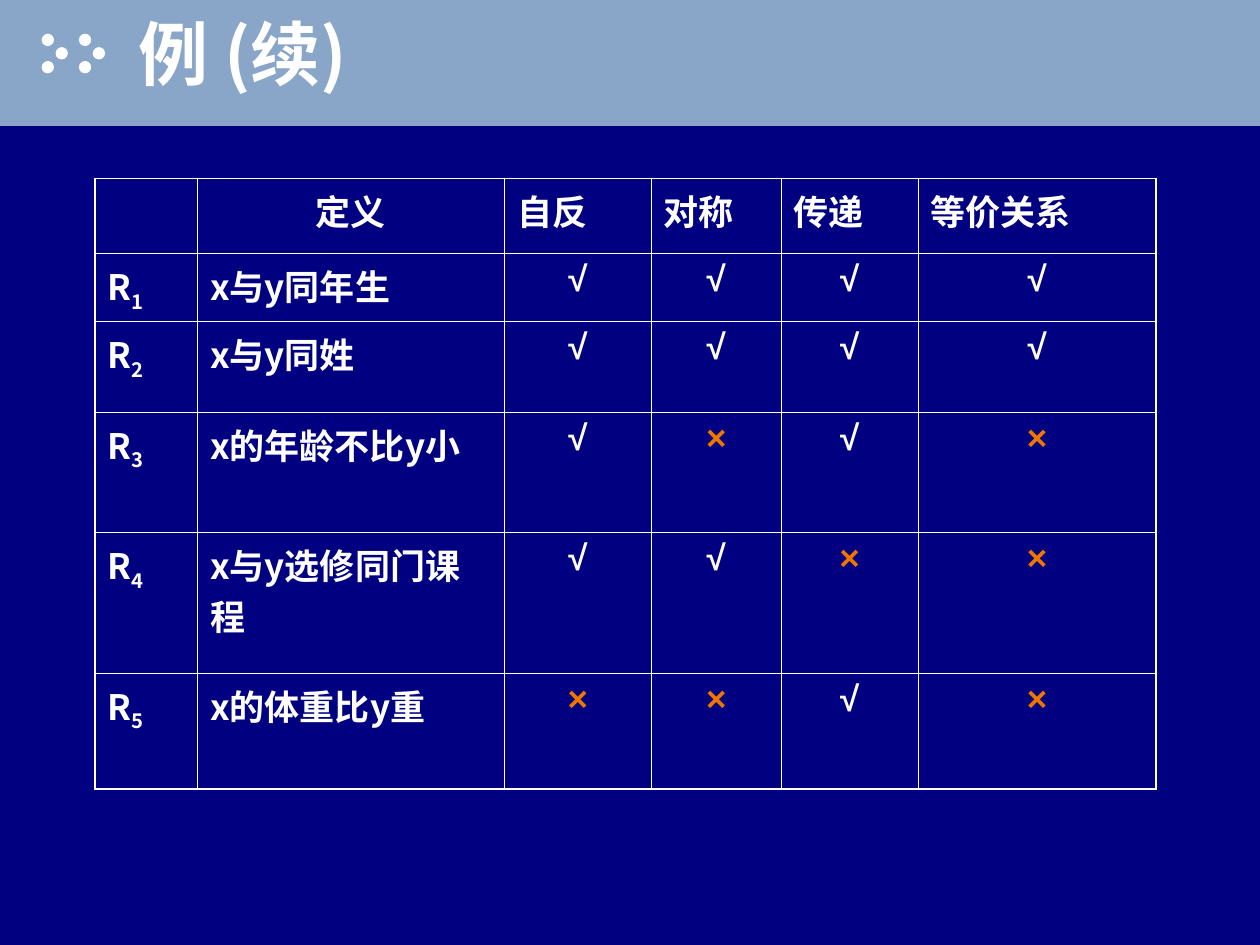
from lxml import etree
from pptx import Presentation
from pptx.dml.color import RGBColor
from pptx.enum.shapes import MSO_SHAPE
from pptx.enum.text import MSO_ANCHOR, PP_ALIGN
from pptx.oxml import parse_xml
from pptx.oxml.ns import nsdecls, qn
from pptx.util import Cm, Pt

RECTANGLE, OVAL = MSO_SHAPE.RECTANGLE, MSO_SHAPE.OVAL
LEFT, CENTER = PP_ALIGN.LEFT, PP_ALIGN.CENTER
MIDDLE = MSO_ANCHOR.MIDDLE

NAVY, BAND_BLUE, WHITE, ORANGE = "000080", "89A5C7", "FFFFFF", "F07600"
CJK_FONT, MARK_FONT = "Noto Sans CJK SC", "Arial"
INNER_LINE, OUTER_LINE = 0.45, 1.08

COLUMN_WIDTHS = [2.07, 6.19, 2.96, 2.62, 2.76, 4.8]
ROW_HEIGHTS = [1.51, 1.27, 1.83, 2.42, 2.84, 2.34]
HEADINGS = ["", "定义", "自反", "对称", "传递", "等价关系"]
RELATIONS = [
    ("x与y同年生", "√√√√"),
    ("x与y同姓", "√√√√"),
    ("x的年龄不比y小", "√×√×"),
    ("x与y选修同门课程", "√√××"),
    ("x的体重比y重", "××√×"),
]


def rgb(hex_color):
    return RGBColor.from_string(hex_color)


def add_run(paragraph, text, size=20, color=WHITE, font=CJK_FONT):
    run = paragraph.add_run()
    run.text = text
    run.font.size = Pt(size)
    run.font.bold = True
    run.font.color.rgb = rgb(color)
    run.font.name = font
    east_asian = etree.Element(qn("a:ea"), typeface=font)
    run.font._element.find(qn("a:latin")).addnext(east_asian)
    return run


def add_plain_shape(shapes, kind, left, top, width, height, color):
    shape = shapes.add_shape(kind, Cm(left), Cm(top), Cm(width), Cm(height))
    shape.shadow.inherit = False
    shape.fill.solid()
    shape.fill.fore_color.rgb = rgb(color)
    shape.line.fill.background()


def add_dots(slide, left, top):
    """Place two arrowhead-like triples of dots side by side."""
    dots = slide.shapes.add_group_shape().shapes
    for triple_left in (left, left + 0.75):
        for dx, dy in ((0, 0), (0.28, 0.27), (0, 0.55)):
            add_plain_shape(dots, OVAL, triple_left + dx, top + dy, 0.25, 0.25, WHITE)


def add_text_shadow(run):
    shadow = parse_xml(
        f'<a:effectLst {nsdecls("a")}><a:outerShdw dist="25400" dir="2700000">'
        '<a:srgbClr val="000000"/></a:outerShdw></a:effectLst>')
    run.font._element.find(qn("a:solidFill")).addnext(shadow)


def add_header(slide, left, top, width, height):
    add_plain_shape(slide.shapes, RECTANGLE, left, top, width, height, BAND_BLUE)
    add_dots(slide, left + 0.84, top + 0.68)

    title = slide.shapes.title
    slide.shapes._spTree.append(title._element)
    title.left, title.top = Cm(left + 2.54), Cm(top)
    title.width, title.height = Cm(width - 2.54), Cm(2.11)
    title.text_frame.vertical_anchor = MIDDLE
    paragraph = title.text_frame.paragraphs[0]
    paragraph.alignment = LEFT
    add_text_shadow(add_run(paragraph, "例 (续)", size=40))


def set_borders(cell, widths):
    """Draw the left, right, top and bottom borders, in that order."""
    properties = cell._tc.get_or_add_tcPr()
    for index, (side, points) in enumerate(zip("LRTB", widths)):
        properties.insert(index, parse_xml(
            f'<a:ln{side} {nsdecls("a")} w="{Pt(points)}"><a:solidFill>'
            f'<a:srgbClr val="{WHITE}"/></a:solidFill></a:ln{side}>'))


def add_relation_table(slide, left, top):
    rows, columns = len(ROW_HEIGHTS), len(COLUMN_WIDTHS)
    table = slide.shapes.add_table(
        rows, columns, Cm(left), Cm(top),
        Cm(sum(COLUMN_WIDTHS)), Cm(sum(ROW_HEIGHTS))).table
    table.first_row = table.horz_banding = False
    for column, width in zip(table.columns, COLUMN_WIDTHS):
        column.width = Cm(width)
    for row, height in zip(table.rows, ROW_HEIGHTS):
        row.height = Cm(height)

    for r in range(rows):
        for c in range(columns):
            cell = table.cell(r, c)
            cell.fill.background()
            at_edge = (c == 0, c == columns - 1, r == 0, r == rows - 1)
            set_borders(cell, [OUTER_LINE if edge else INNER_LINE for edge in at_edge])

    def paragraph_at(r, c, alignment=LEFT):
        paragraph = table.cell(r, c).text_frame.paragraphs[0]
        paragraph.alignment = alignment
        return paragraph

    for c, heading in enumerate(HEADINGS):
        if heading:
            add_run(paragraph_at(0, c, CENTER if c == 1 else LEFT), heading)

    for r, (definition, marks) in enumerate(RELATIONS, start=1):
        label = paragraph_at(r, 0)
        add_run(label, "R")
        add_run(label, str(r)).font._element.set("baseline", "-25000")
        add_run(paragraph_at(r, 1), definition)
        for c, mark in enumerate(marks, start=2):
            color = ORANGE if mark == "×" else WHITE
            add_run(paragraph_at(r, c, CENTER), mark, color=color, font=MARK_FONT)


def main():
    presentation = Presentation()
    presentation.slide_width, presentation.slide_height = Cm(25.4), Cm(19.05)
    slide = presentation.slides.add_slide(presentation.slide_layouts[5])
    slide.background.fill.solid()
    slide.background.fill.fore_color.rgb = rgb(NAVY)
    add_header(slide, 0, 0, 25.4, 2.54)
    add_relation_table(slide, 1.91, 3.6)
    presentation.save("out.pptx")


if __name__ == "__main__":
    main()
